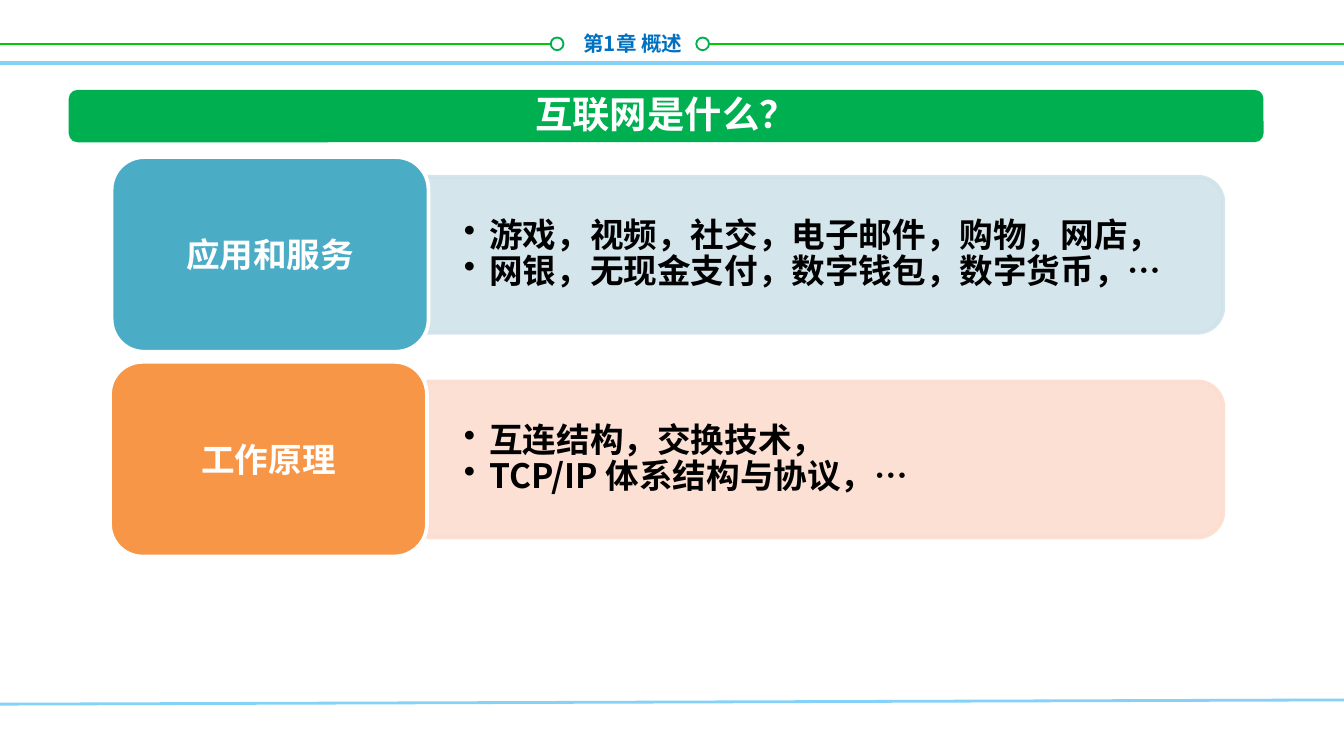
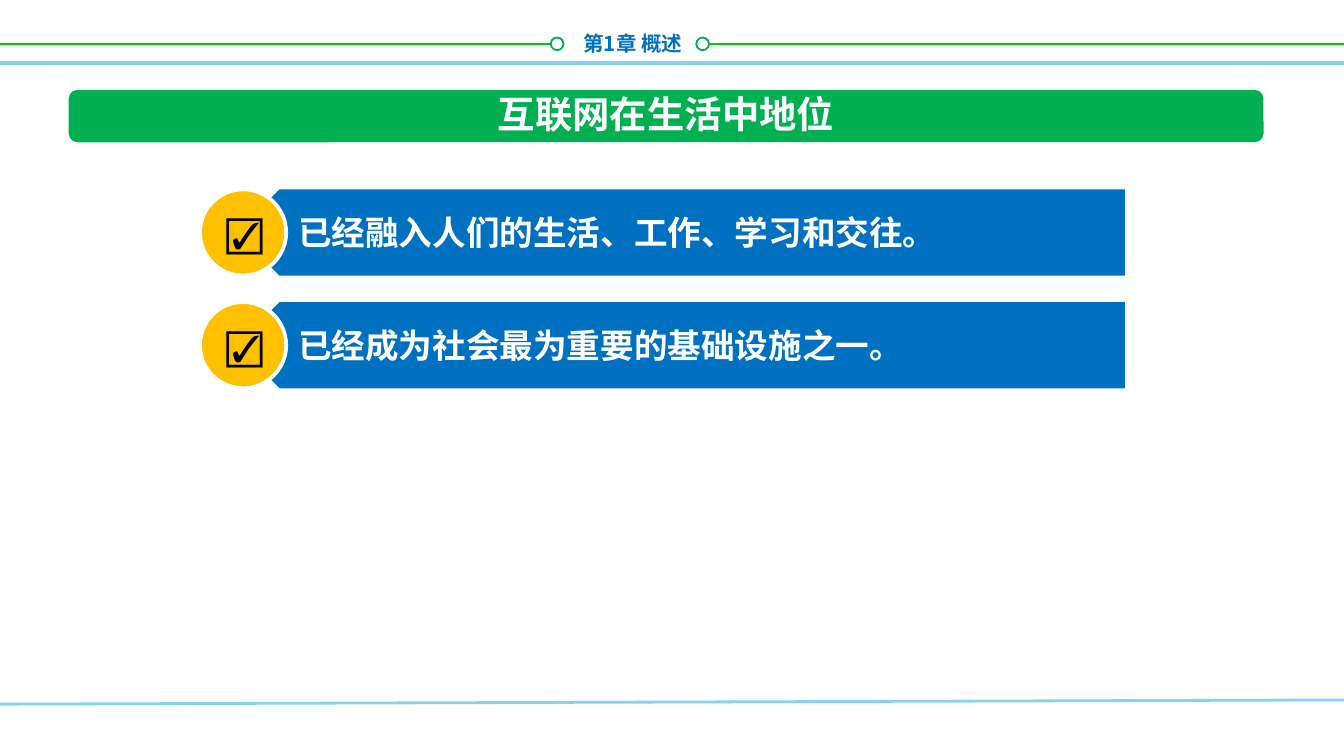
from dataclasses import dataclass
from typing import Any, NamedTuple

from lxml import etree
from pptx import Presentation
from pptx.dml.color import RGBColor
from pptx.enum import shapes as sh, text as tx
from pptx.oxml import ns
from pptx.util import Cm, Pt


@dataclass(frozen=True)
class Theme:
    font: str = "Noto Sans CJK SC"
    white: str = "FFFFFF"
    black: str = "000000"
    rule: str = "00CC00"
    green: str = "00B050"
    sky: str = "85D1F7"
    blue: str = "0070C0"
    gold: str = "FFC000"
    teal: str = "4BACC6"
    mist: str = "D0E3EA"
    orange: str = "F79646"
    peach: str = "FCDDCF"
    small: int = 11
    body: int = 18
    head: int = 20


T = Theme()
KIND = sh.MSO_SHAPE
LEFT, MID, RIGHT = tx.PP_ALIGN.LEFT, tx.PP_ALIGN.CENTER, tx.PP_ALIGN.RIGHT


class Box(NamedTuple):
    """Left, top, width and height in centimetres."""
    x: float
    y: float
    w: float
    h: float

    def emu(self) -> list[Cm]:
        return [Cm(v) for v in self]


class Rule(NamedTuple):
    x1: float
    y1: float
    x2: float
    y2: float
    color: str
    width: float


class Topic(NamedTuple):
    label: str
    x: float
    fill: str
    pale: str
    points: list[str]


RULES = [
    Rule(0, 0.83, 10.41, 0.83, T.rule, 1),
    Rule(13.4, 0.83, 25.4, 0.83, T.rule, 1),
    Rule(0, 13.31, 25.4, 13.23, T.sky, 1.5),
    Rule(0, 1.19, 25.4, 1.19, T.sky, 2),
]

TOPICS = [
    Topic("应用和服务", 2.11, T.teal, T.mist,
          ["游戏，视频，社交，电子邮件，购物，网店，",
           "网银，无现金支付，数字钱包，数字货币，…"]),
    Topic("工作原理", 2.08, T.orange, T.peach,
          ["互连结构，交换技术，", "TCP/IP 体系结构与协议，…"]),
]

CLAIMS = ["已经融入人们的生活、工作、学习和交往。",
          "已经成为社会最为重要的基础设施之一。"]


def put(obj: Any, form: dict[str, Any]) -> None:
    for name, value in form.items():
        setattr(obj, name, value)


def sub(node: Any, tag: str, **attrs: str) -> Any:
    return etree.SubElement(node, ns.qn(tag), attrs)


def write(shape: Any, lines: list[str], size: int, color: str,
          align: Any = MID, dots: bool = False, **form: Any) -> None:
    """Fill a shape with bold text; form holds text frame values."""
    frame = shape.text_frame
    put(frame, {"word_wrap": True,
                "vertical_anchor": tx.MSO_ANCHOR.MIDDLE, **form})
    for i, line in enumerate(lines):
        para = frame.paragraphs[0] if i == 0 else frame.add_paragraph()
        para.alignment = align
        if dots:
            put(para, {"level": 1, "line_spacing": 0.9})
            props = para._p.get_or_add_pPr()
            props.set("marL", str(Cm(0.48)))
            props.set("indent", str(-Cm(0.48)))
            sub(props, "a:buChar", char="•")
        run = para.add_run()
        run.text = line
        put(run.font, {"name": T.font, "size": Pt(size), "bold": True})
        run.font.color.rgb = RGBColor.from_string(color)
        sub(run._r.get_or_add_rPr(), "a:ea", typeface=T.font)


def draw(slide: Any, kind: Any, box: Box, fill: str,
         line: str = "", width: float = 2) -> Any:
    shape = slide.shapes.add_shape(kind, *box.emu())
    shape.shadow.inherit = False
    shape.fill.solid()
    shape.fill.fore_color.rgb = RGBColor.from_string(fill)
    if line:
        shape.line.color.rgb = RGBColor.from_string(line)
        shape.line.width = Pt(width)
    else:
        shape.line.fill.background()
    return shape


def stroke(slide: Any, rule: Rule) -> None:
    ends = [Cm(v) for v in rule[:4]]
    line = slide.shapes.add_connector(sh.MSO_CONNECTOR.STRAIGHT, *ends)
    line.line.color.rgb = RGBColor.from_string(rule.color)
    line.line.width = Pt(rule.width)
    sub(line._element.spPr, "a:effectLst")


def page(deck: Any, title: str) -> Any:
    """Add a slide with the chapter header, rules and title bar."""
    slide = deck.slides.add_slide(deck.slide_layouts[6])
    for rule in RULES:
        stroke(slide, rule)
    for x in (10.41, 13.16):
        draw(slide, KIND.OVAL, Box(x, 0.71, 0.24, 0.24),
             T.white, T.green, 1)
    head = slide.shapes.add_textbox(*Box(9.75, 0.46, 3.4, 0.71).emu())
    write(head, ["第1章 概述"], T.small, T.blue, RIGHT)
    bar = draw(slide, KIND.ROUNDED_RECTANGLE,
               Box(1.3, 1.7, 22.58, 0.99), T.green)
    write(bar, [title], T.head, T.white, margin_top=0,
          margin_bottom=Cm(0.08))
    return slide


def panel(slide: Any, box: Box, color: str) -> None:
    """Draw a translucent band with its right corners rounded."""
    turn = (box.w - box.h) / 2
    frame = Box(box.x + turn, box.y - turn, box.h, box.w)
    band = draw(slide, KIND.ROUND_2_SAME_RECTANGLE, frame, color, color)
    band.rotation = 90
    for tint in band._element.spPr.iter(ns.qn("a:srgbClr")):
        sub(tint, "a:alpha", val="90000")


def topic(slide: Any, item: Topic, top: float) -> None:
    panel(slide, Box(8.08, top + 0.37, 15.04, 2.95), item.pale)
    note = slide.shapes.add_textbox(
        *Box(8.08, top + 0.51, 14.91, 2.67).emu())
    write(note, item.points, T.body, T.black, LEFT, dots=True,
          margin_left=Cm(0.69), margin_right=Cm(0.69),
          margin_top=Cm(0.36), margin_bottom=Cm(0.36))
    tile = draw(slide, KIND.ROUNDED_RECTANGLE,
                Box(item.x, top, 5.99, 3.68), item.fill, T.white)
    write(tile, [item.label], T.body, T.white)


def claim(slide: Any, words: str, top: float) -> None:
    plate = draw(slide, KIND.PENTAGON, Box(4.47, top, 16.79, 1.63), T.blue)
    plate._element.spPr.xfrm.set("flipH", "1")
    write(plate, [words], T.body, T.white, LEFT, margin_left=Cm(0.76))
    disc = draw(slide, KIND.OVAL, Box(3.78, top, 1.63, 1.63),
                T.gold, T.white)
    write(disc, ["☑"], T.head, T.black)


def main() -> None:
    deck = Presentation()
    put(deck, {"slide_width": Cm(25.4), "slide_height": Cm(14.29)})
    slide = page(deck, "互联网是什么？")
    for i, item in enumerate(TOPICS):
        topic(slide, item, 2.97 + 3.87 * i)
    slide = page(deck, "互联网在生活中地位")
    for i, words in enumerate(CLAIMS):
        claim(slide, words, 3.58 + 2.13 * i)
    deck.save("out.pptx")


if __name__ == "__main__":
    main()
